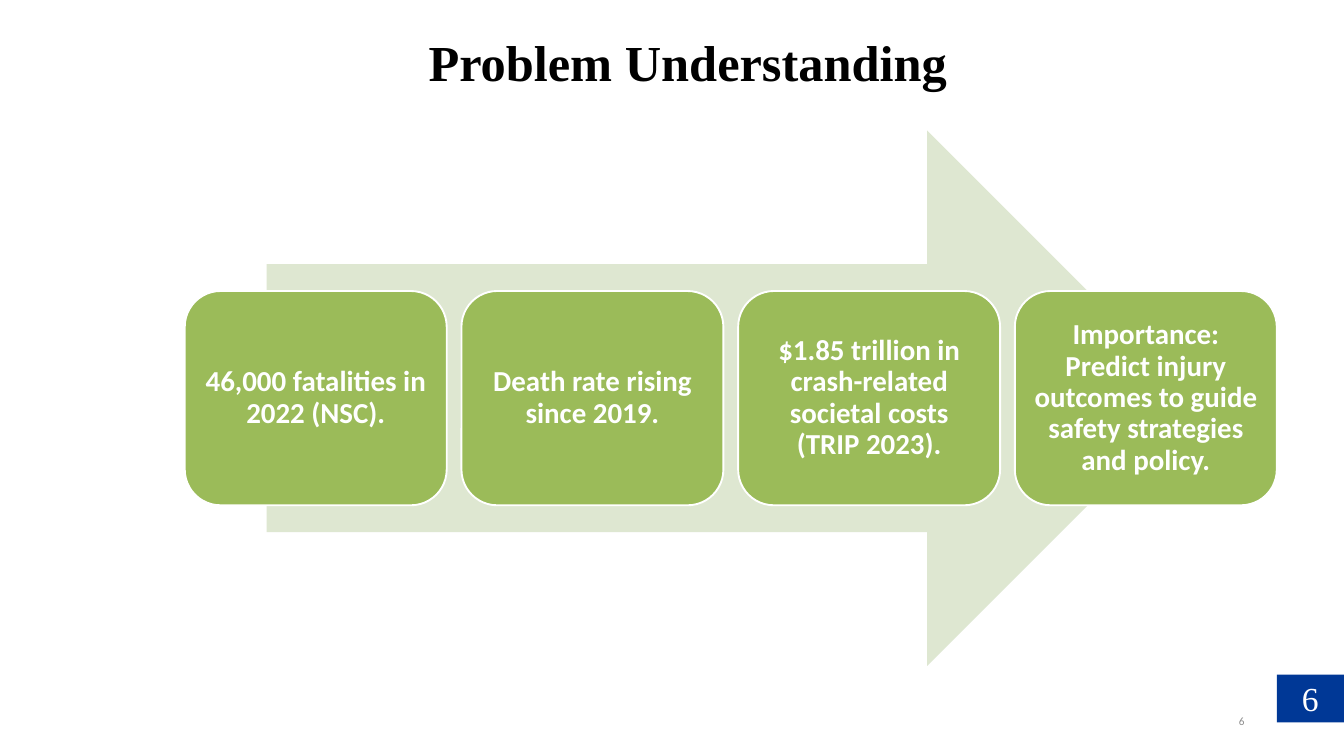
from dataclasses import dataclass

from pptx import Presentation
from pptx import util as u
from pptx.dml.color import RGBColor
from pptx.enum import shapes, text

EMU_PER_PX = 9144  # 100 px to the inch


@dataclass(frozen=True)
class Theme:
    serif: str = "Times New Roman"
    sans: str = "Calibri"
    black: str = "000000"
    white: str = "FFFFFF"
    grey: str = "8C8C8C"
    navy: str = "003896"
    green: str = "9BBB59"
    pale_green: str = "DEE7D1"
    title_size: int = 54
    badge_size: int = 36
    card_size: int = 31
    footer_size: int = 12


THEME = Theme()
CENTER, RIGHT = text.PP_ALIGN.CENTER, text.PP_ALIGN.RIGHT
TOP, MIDDLE = text.MSO_ANCHOR.TOP, text.MSO_ANCHOR.MIDDLE
FACTS = [
    "46,000 fatalities in 2022 (NSC).",
    "Death rate rising since 2019.",
    "$1.85 trillion in crash-related societal costs (TRIP 2023).",
    "Importance: Predict injury outcomes to guide safety strategies and policy.",
]


def px(length):
    return u.Emu(round(length * EMU_PER_PX))


def set_all(target, values):
    for name, value in values.items():
        setattr(target, name, value)


def write(shape, words, color, font, align=CENTER, anchor=MIDDLE, margin=None, spacing=None):
    """Fill a shape with one formatted paragraph; font holds the font attributes."""
    frame = shape.text_frame
    set_all(frame, {"word_wrap": True, "auto_size": text.MSO_AUTO_SIZE.NONE,
                    "vertical_anchor": anchor})
    if margin is not None:
        sides = ("left", "top", "right", "bottom")
        set_all(frame, {f"margin_{side}": px(margin) for side in sides})
    para = frame.paragraphs[0]
    set_all(para, {"alignment": align, "line_spacing": spacing})
    span = para.add_run()
    span.text = words
    set_all(span.font, font)
    span.font.color.rgb = RGBColor.from_string(color)


def add_block(page, kind, box, fill, line=None):
    block = page.shapes.add_shape(kind, *map(px, box))
    block.shadow.inherit = False
    block.fill.solid()
    block.fill.fore_color.rgb = RGBColor.from_string(fill)
    if line:
        block.line.color.rgb = RGBColor.from_string(line)
        block.line.width = u.Pt(2)
    else:
        block.line.fill.background()
    return block


def place_title(page, box, words):
    title = page.shapes.title
    set_all(title, dict(zip(("left", "top", "width", "height"), map(px, box))))
    write(title, words, THEME.black, anchor=TOP,
          font={"name": THEME.serif, "size": u.Pt(THEME.title_size), "bold": True})


def add_process(page, box, facts):
    """Draw an arrow with a row of cards across its middle; box spans the cards' width."""
    left, top, width, height = box
    arrow_width = width * 0.85
    add_block(page, shapes.MSO_SHAPE.RIGHT_ARROW,
              (left + (width - arrow_width) / 2, top, arrow_width, height), THEME.pale_green)
    gap = 22
    card_width = (width - gap * (len(facts) - 1)) / len(facts)
    card_height = height * 0.4
    card_top = top + (height - card_height) / 2
    for index, fact in enumerate(facts):
        card_box = (left + index * (card_width + gap), card_top, card_width, card_height)
        card = add_block(page, shapes.MSO_SHAPE.ROUNDED_RECTANGLE, card_box,
                         THEME.green, THEME.white)
        write(card, fact, THEME.white, margin=13, spacing=0.9,
              font={"name": THEME.sans, "size": u.Pt(THEME.card_size), "bold": True})


def add_page_number(page, box, number):
    """Place the number badge at the right of the box and the small number at its left."""
    left, top, width, height = box
    badge_width = 100
    badge = add_block(page, shapes.MSO_SHAPE.RECTANGLE,
                      (left + width - badge_width, top, badge_width, 71), THEME.navy)
    write(badge, number, THEME.white, anchor=TOP,
          font={"name": THEME.serif, "size": u.Pt(THEME.badge_size)})
    footer = page.shapes.add_textbox(*map(px, (left, top + height - 60, 450, 60)))
    write(footer, number, THEME.grey, align=RIGHT,
          font={"name": THEME.sans, "size": u.Pt(THEME.footer_size)})


def main():
    deck = Presentation()
    deck.slide_width, deck.slide_height = px(2000), px(1125)
    page = deck.slides.add_slide(deck.slide_layouts[5])
    add_page_number(page, (1412, 1004, 588, 99), "6")
    add_process(page, (275, 194, 1625, 797), FACTS)
    place_title(page, (182, 42, 1683, 101), "Problem Understanding")
    deck.save("out.pptx")


if __name__ == "__main__":
    main()
